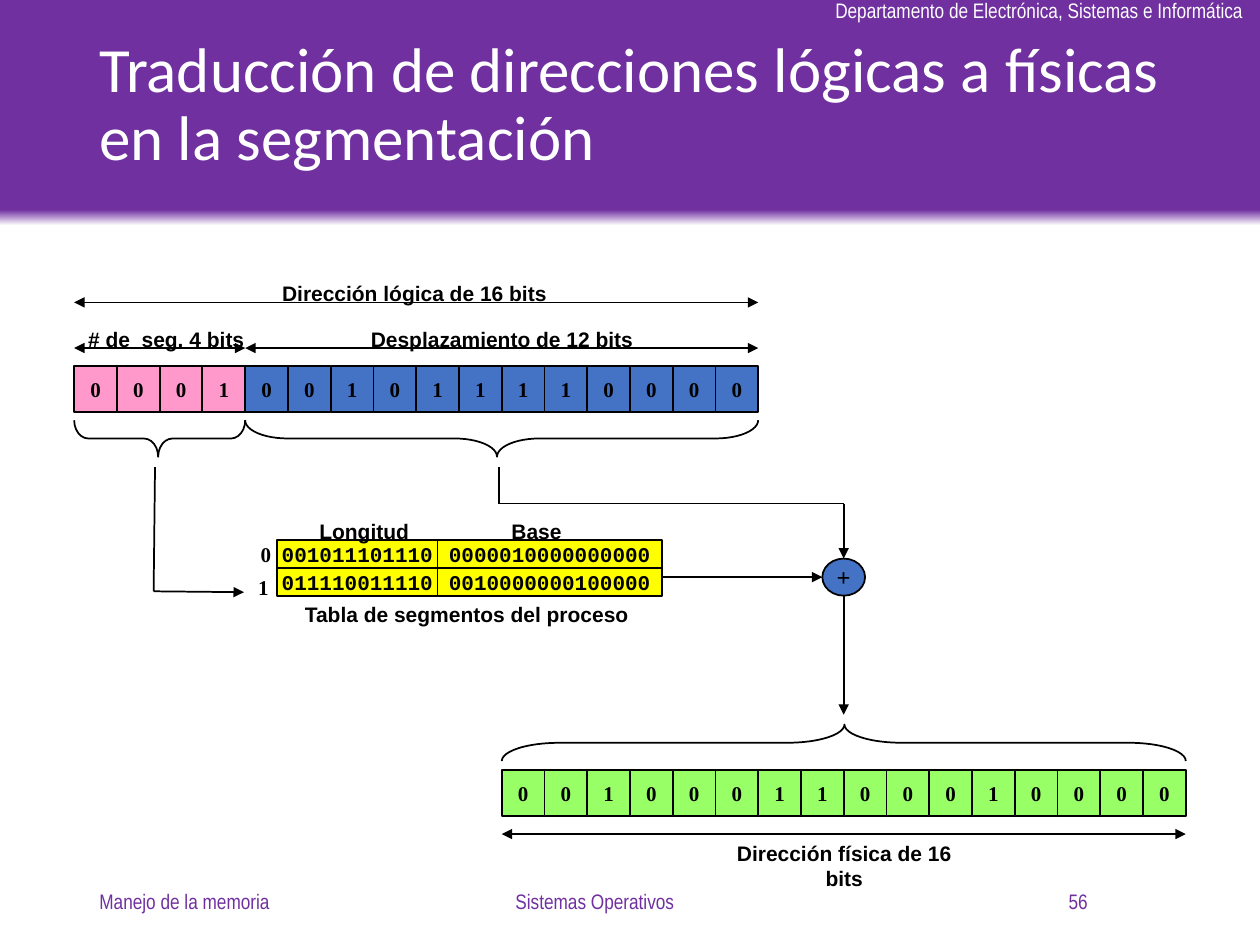
from dataclasses import dataclass
from lxml import etree
from pptx import Presentation
from pptx.dml.color import RGBColor
from pptx.enum import shapes, text
from pptx.oxml.ns import qn
from pptx.util import Pt


@dataclass(frozen=True)
class Theme:
    purple: str = "7030A0"
    white: str = "FFFFFF"
    black: str = "000000"
    pink: str = "FF99CC"
    blue: str = "4472C4"
    green: str = "99FF66"
    yellow: str = "FFFF00"
    title_font: str = "Calibri"
    frame_font: str = "Arial Narrow"
    label_font: str = "Arial"
    bit_font: str = "Times New Roman"
    code_font: str = "Courier New"
    title_size: int = 36
    plus_size: int = 14
    body_size: int = 12
    line_width: int = 1


T = Theme()
L, C, R = text.PP_ALIGN.LEFT, text.PP_ALIGN.CENTER, text.PP_ALIGN.RIGHT

TITLE = "Traducción de direcciones lógicas a físicas en la segmentación"
DEPARTMENT = "Departamento de Electrónica, Sistemas e Informática"
FOOTERS = [
    ("Manejo de la memoria", 49.7, 162, L),
    ("Sistemas Operativos", 218.2, 243.4, C),
    ("56", 466.6, 162, R),
]
BIT_ROWS = [
    ("0001", 0, 209.3, T.pink),
    ("001011110000", 4, 209.3, T.blue),
    ("0010001100010000", 10, 440, T.green),
]
BRACES = [
    (10, 26, 414, 90, (1.569, 0.499)),
    (4, 16, 240.1, 270, (1.161, 0.491)),
    (0, 4, 240.1, 270, (0.389, 0.491)),
]
SPANS = [(0, 16, 172.8), (0, 4, 198.9), (4, 16, 198.9), (10, 26, 476.6)]
SEGMENTS = [
    ("001011101110", "0000010000000000"),
    ("011110011110", "0010000000100000"),
]
COLUMN_WIDTHS = (91.6, 128.2)
LABELS = [
    ("Dirección física de 16 bits", 401.8, 476.6, 161.3, T.label_font),
    ("Dirección lógica de 16 bits", 154.1, 157, 165.6, T.label_font),
    ("# de  seg. 4 bits", 43.2, 183.2, 103.7, T.label_font),
    ("Desplazamiento de 12 bits", 195.1, 183.2, 183.6, T.label_font),
    ("Tabla de segmentos del proceso", 166.3, 340.2, 200.9, T.label_font),
    ("Longitud", 175, 293, 66.2, T.label_font),
    ("Base", 285, 293, 43.2, T.label_font),
    ("0", 141.8, 306, 20.2, T.bit_font),
    ("1", 140.4, 324.7, 20.2, T.bit_font),
]

BIT_LEFT, BIT_W, BIT_H = 42.4, 24.43, 26.2
BRACE_H = 20.9
TABLE_X, TABLE_Y, TABLE_ROW_H = 158.4, 308.7, 16
ADDER_Y, ADDER_H = 319.2, 21.2

prs = Presentation()
prs.slide_width, prs.slide_height = Pt(720), Pt(540)
s = prs.slides.add_slide(prs.slide_layouts[6])


def bit_x(index):
    return BIT_LEFT + index * BIT_W


def write(sp, words, font, size=T.body_size, color=T.black, bold=True,
          align=C, wrap=False, anchor=text.MSO_ANCHOR.MIDDLE):
    tf = sp.text_frame
    tf.text = words
    tf.word_wrap = wrap
    tf.vertical_anchor = anchor
    p = tf.paragraphs[0]
    p.alignment = align
    f = p.runs[0].font
    f.name, f.size, f.bold = font, Pt(size), bold
    f.color.rgb = RGBColor.from_string(color)
    return p


def add_text(words, x, y, w, h, font, **style):
    sp = s.shapes.add_textbox(Pt(x), Pt(y), Pt(w), Pt(h))
    return write(sp, words, font, **style)


def outline(sp):
    sp.line.color.rgb = RGBColor.from_string(T.black)
    sp.line.width = Pt(T.line_width)


def add_shape(kind, x, y, w, h, fill=None):
    sp = s.shapes.add_shape(kind, Pt(x), Pt(y), Pt(w), Pt(h))
    sp.shadow.inherit = False
    if fill:
        sp.fill.solid()
        sp.fill.fore_color.rgb = RGBColor.from_string(fill)
    else:
        sp.fill.background()
    outline(sp)
    return sp


def add_cell(words, x, y, w, h, fill, font):
    sp = add_shape(shapes.MSO_SHAPE.RECTANGLE, x, y, w, h, fill)
    write(sp, words, font)


def add_line(start, end, *arrows):
    sp = s.shapes.add_connector(shapes.MSO_CONNECTOR.STRAIGHT,
                                *map(Pt, (*start, *end)))
    outline(sp)
    ln = sp.line._get_or_add_ln()
    for tag in arrows:
        etree.SubElement(ln, qn(tag), type="triangle")
    etree.SubElement(sp._element.spPr, qn("a:effectLst"))


def add_route(*points):
    for start, end in zip(points, points[1:]):
        add_line(start, end, *(["a:tailEnd"] if end == points[-1] else []))


def add_brace(first, last, y, angle, adjustments):
    length = (last - first) * BIT_W
    center = (bit_x(first) + bit_x(last)) / 2
    sp = add_shape(shapes.MSO_SHAPE.LEFT_BRACE, center - BRACE_H / 2,
                   y + (BRACE_H - length) / 2, BRACE_H, length)
    sp.rotation = angle
    for i, value in enumerate(adjustments):
        sp.adjustments[i] = value


banner = add_shape(shapes.MSO_SHAPE.RECTANGLE, 0, 0, 720, 128.9)
banner.line.fill.background()
banner.fill.gradient()
banner.fill.gradient_angle = 90
for stop, position, color in zip(banner.fill.gradient_stops, (0, 0.07), (T.white, T.purple)):
    stop.position = position
    stop.color.rgb = RGBColor.from_string(color)

add_text(DEPARTMENT, 470.2, -5, 250.5, 21.6, T.frame_font, color=T.white,
         bold=False, align=L, anchor=text.MSO_ANCHOR.TOP)
title = add_text(TITLE, 49.7, 10.8, 620.6, 100.1, T.title_font, size=T.title_size,
                 color=T.white, bold=False, align=L, wrap=True)
title.line_spacing = 0.9
for words, x, w, align in FOOTERS:
    add_text(words, x, 500.4, w, 28.8, T.frame_font, color=T.purple,
             bold=False, align=align, wrap=True)

for bits, first, y, fill in BIT_ROWS:
    for i, bit in enumerate(bits, first):
        add_cell(bit, bit_x(i), y, BIT_W, BIT_H, fill, T.bit_font)
for brace in BRACES:
    add_brace(*brace)
for first, last, y in SPANS:
    add_line((bit_x(first), y), (bit_x(last), y), "a:headEnd", "a:tailEnd")

for row, values in enumerate(SEGMENTS):
    x = TABLE_X
    for value, w in zip(values, COLUMN_WIDTHS):
        add_cell(value, x, TABLE_Y + row * TABLE_ROW_H, w, TABLE_ROW_H,
                 T.yellow, T.code_font)
        x += w

adder_x = bit_x(18)
adder_left = adder_x - BIT_W / 2
adder_mid = ADDER_Y + ADDER_H / 2
adder = add_shape(shapes.MSO_SHAPE.OVAL, adder_left, ADDER_Y, BIT_W, ADDER_H, T.blue)
write(adder, "+", T.bit_font, size=T.plus_size)

add_route((285, 267), (285, 287.8), (adder_x, 287.8), (adder_x, ADDER_Y))
add_route((88.6, 267), (87.8, 337.9), (139.4, 338.4))
add_route((TABLE_X + sum(COLUMN_WIDTHS), adder_mid), (adder_left, adder_mid))
add_route((adder_x, ADDER_Y + ADDER_H), (adder_x, 408.4))

for words, x, y, w, font in LABELS:
    add_text(words, x, y, w, 21.6, font, anchor=text.MSO_ANCHOR.TOP)

prs.save("out.pptx")
